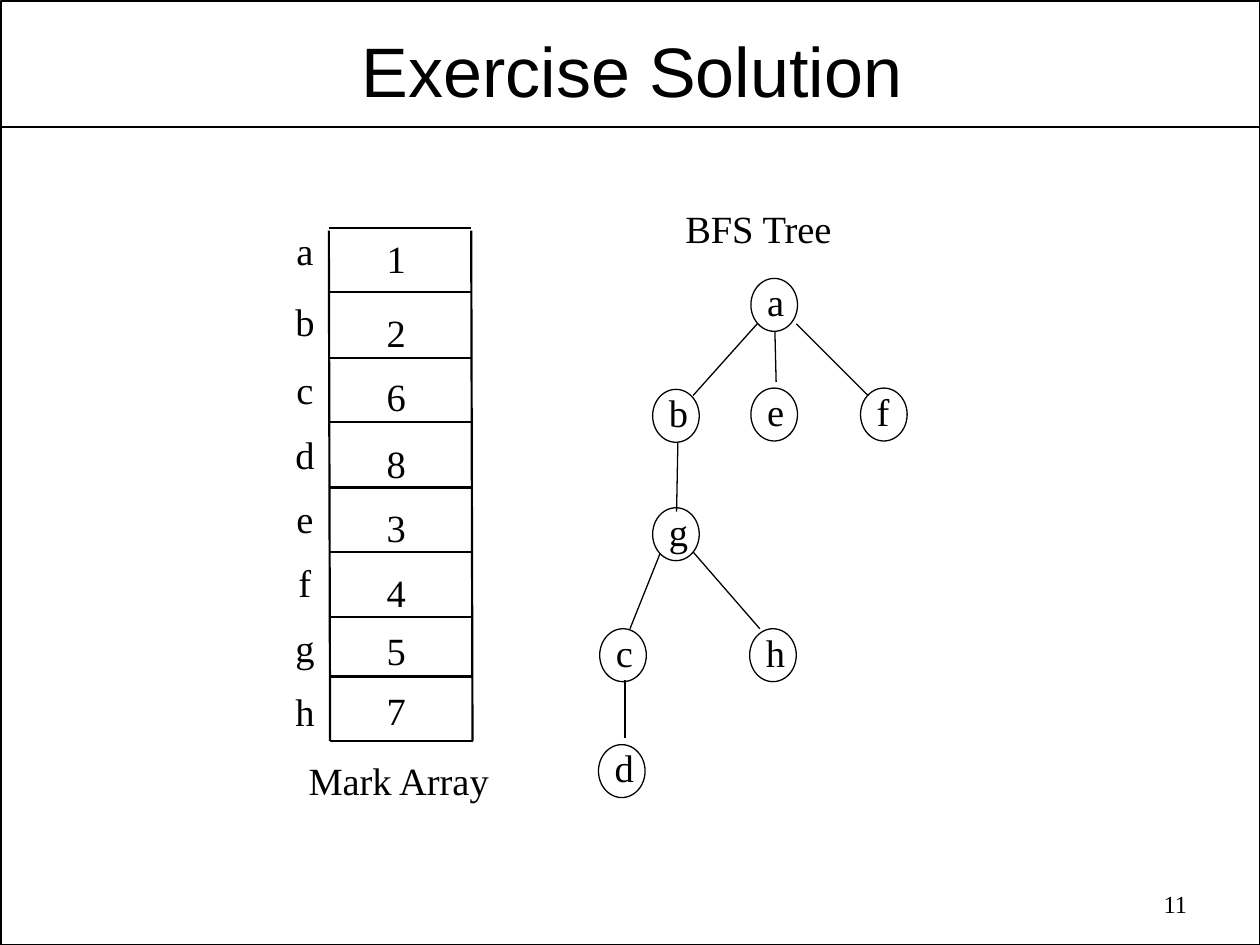
"""Build the exercise solution slide with a mark array and its BFS tree."""
from lxml.etree import SubElement
from pptx import Presentation
from pptx.dml.color import RGBColor
from pptx.enum.shapes import MSO_CONNECTOR, MSO_SHAPE
from pptx.enum.text import MSO_ANCHOR, MSO_AUTO_SIZE, PP_ALIGN
from pptx.oxml.ns import qn
from pptx.util import Inches, Pt

THEME = {
    "ink": RGBColor(0, 0, 0),
    "title": {"name": "Arial", "size": Pt(40), "bold": False},
    "body": {"name": "Times New Roman", "size": Pt(22)},
    "number": {"name": "Times New Roman", "size": Pt(14)},
    "frame_line": Pt(1),
    "array_line": Pt(1.25),
    "tree_line": Pt(0.75),
}
LETTER_WIDTHS = {"a": 0.33, "c": 0.33, "e": 0.33, "f": 0.3}
TEXT_HEIGHT = 0.47


def write_text(shape, text, style, alignment=PP_ALIGN.LEFT, **frame_format):
    frame = shape.text_frame
    for name, value in frame_format.items():
        setattr(frame, name, value)
    paragraph = frame.paragraphs[0]
    paragraph.alignment = alignment
    run = paragraph.add_run()
    run.text = text
    for name, value in THEME[style].items():
        setattr(run.font, name, value)
    run.font.color.rgb = THEME["ink"]


def add_line(start, end, weight):
    line = slide.shapes.add_connector(
        MSO_CONNECTOR.STRAIGHT, *(Inches(value) for value in start + end))
    line.line.color.rgb = THEME["ink"]
    line.line.width = THEME[weight]
    SubElement(line._element.spPr, qn("a:effectLst"))


presentation = Presentation()
presentation.slide_width = Inches(10)
presentation.slide_height = Inches(7.5)
slide = presentation.slides.add_slide(presentation.slide_layouts[5])

frame = slide.shapes.add_shape(
    MSO_SHAPE.RECTANGLE, Inches(0.01), Inches(0.01), Inches(9.99), Inches(7.49))
frame.shadow.inherit = False
frame.fill.background()
frame.line.color.rgb = THEME["ink"]
frame.line.width = THEME["frame_line"]
add_line((0.01, 1.01), (9.99, 1.01), "frame_line")

title = slide.shapes.title
title_place = {"left": 0.53, "top": 0.19, "width": 8.97, "height": 0.72}
for name, value in title_place.items():
    setattr(title, name, Inches(value))
write_text(title, "Exercise Solution", "title", PP_ALIGN.CENTER,
           margin_left=Inches(0.07), margin_right=Inches(0.07),
           margin_top=Inches(0.03), margin_bottom=Inches(0.03),
           vertical_anchor=MSO_ANCHOR.MIDDLE, word_wrap=True,
           auto_size=MSO_AUTO_SIZE.NONE)

page_number = slide.shapes.add_textbox(
    Inches(8.67), Inches(7.01), Inches(0.85), Inches(0.36))
write_text(page_number, "11", "number", PP_ALIGN.RIGHT, word_wrap=True)

for x in (2.61, 3.74):
    add_line((x, 1.83), (x + 0.01, 5.88), "array_line")
for y in (1.81, 2.32, 2.84, 3.35, 3.87, 4.38, 4.9, 5.37, 5.88):
    left = 2.61 if y < 5 else 2.62
    add_line((left, y), (left + 1.13, y), "array_line")

mark_array = [
    ("a", 1.75, "1", 1.82), ("b", 2.32, "2", 2.4),
    ("c", 2.86, "6", 2.91), ("d", 3.37, "8", 3.44),
    ("e", 3.88, "3", 3.95), ("f", 4.39, "4", 4.47),
    ("g", 4.9, "5", 4.93), ("h", 5.41, "7", 5.4),
]
labels = [("Mark Array", 2.35, 5.96, 1.65), ("BFS Tree", 5.34, 1.58, 1.38)]
for vertex, vertex_top, mark, mark_top in mark_array:
    width = LETTER_WIDTHS.get(vertex, 0.35)
    labels.append((vertex, 2.42 - width / 2, vertex_top, width))
    labels.append((mark, 2.97, mark_top, 0.35))
for text, left, top, width in labels:
    label = slide.shapes.add_textbox(
        Inches(left), Inches(top), Inches(width), Inches(TEXT_HEIGHT))
    write_text(label, text, "body", word_wrap=False,
               auto_size=MSO_AUTO_SIZE.SHAPE_TO_FIT_TEXT)

tree_nodes = {
    "a": (5.96, 2.21), "e": (5.96, 3.08), "b": (5.18, 3.09), "f": (6.83, 3.08),
    "c": (4.76, 4.99), "g": (5.18, 4.03), "d": (4.75, 5.91), "h": (5.95, 4.99),
}
for vertex, (left, top) in tree_nodes.items():
    node = slide.shapes.add_group_shape()
    circle = node.shapes.add_shape(
        MSO_SHAPE.OVAL, Inches(left), Inches(top), Inches(0.37), Inches(0.42))
    circle.shadow.inherit = False
    circle.fill.background()
    circle.line.color.rgb = THEME["ink"]
    circle.line.width = THEME["tree_line"]
    label = node.shapes.add_textbox(
        Inches(left + 0.03), Inches(top - 0.05),
        Inches(LETTER_WIDTHS.get(vertex, 0.35)), Inches(TEXT_HEIGHT))
    write_text(label, vertex, "body", word_wrap=False,
               auto_size=MSO_AUTO_SIZE.SHAPE_TO_FIT_TEXT)

tree_edges = [
    ((6.01, 2.57), (5.5, 3.14)), ((6.03, 4.99), (5.5, 4.38)),
    ((5.37, 4.06), (5.38, 3.51)), ((6.16, 3.03), (6.15, 2.63)),
    ((4.96, 5.4), (4.96, 5.86)), ((6.89, 3.14), (6.32, 2.57)),
    ((5.24, 4.39), (5, 4.99)),
]
for start, end in tree_edges:
    add_line(start, end, "tree_line")

presentation.save("out.pptx")
